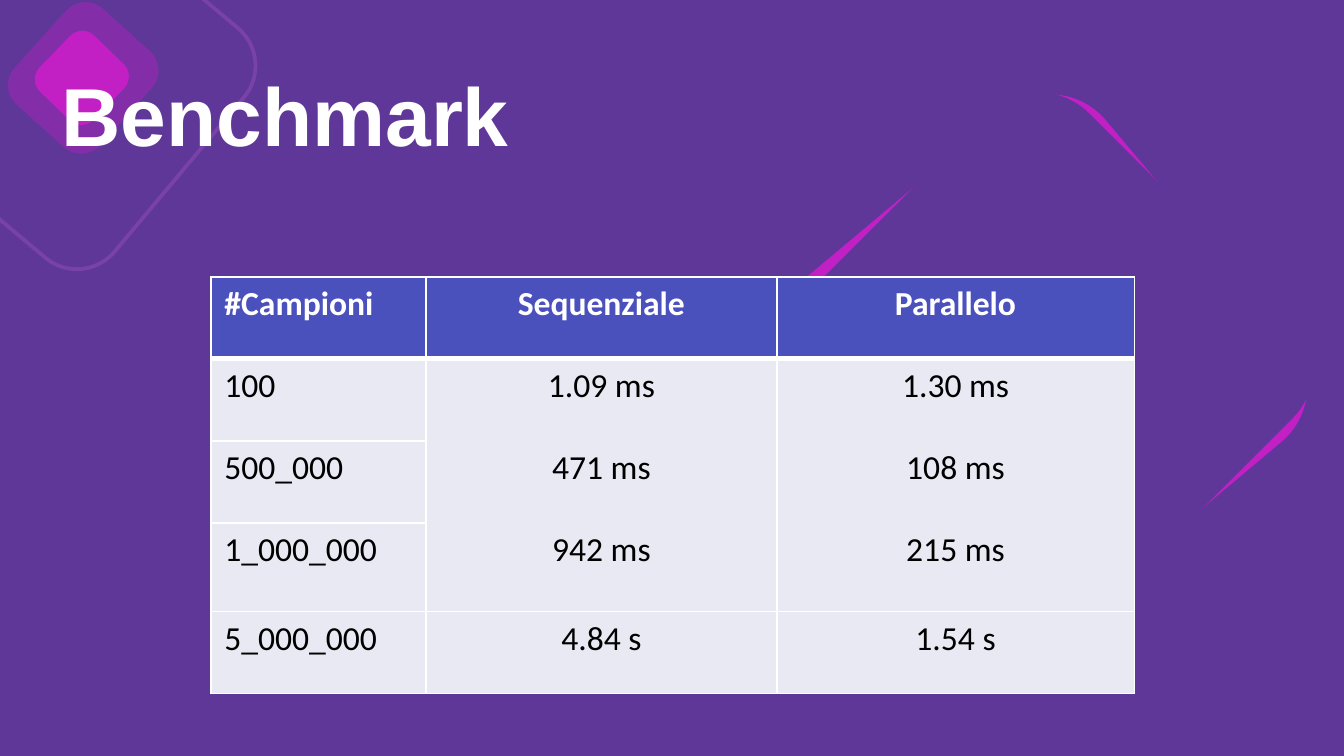
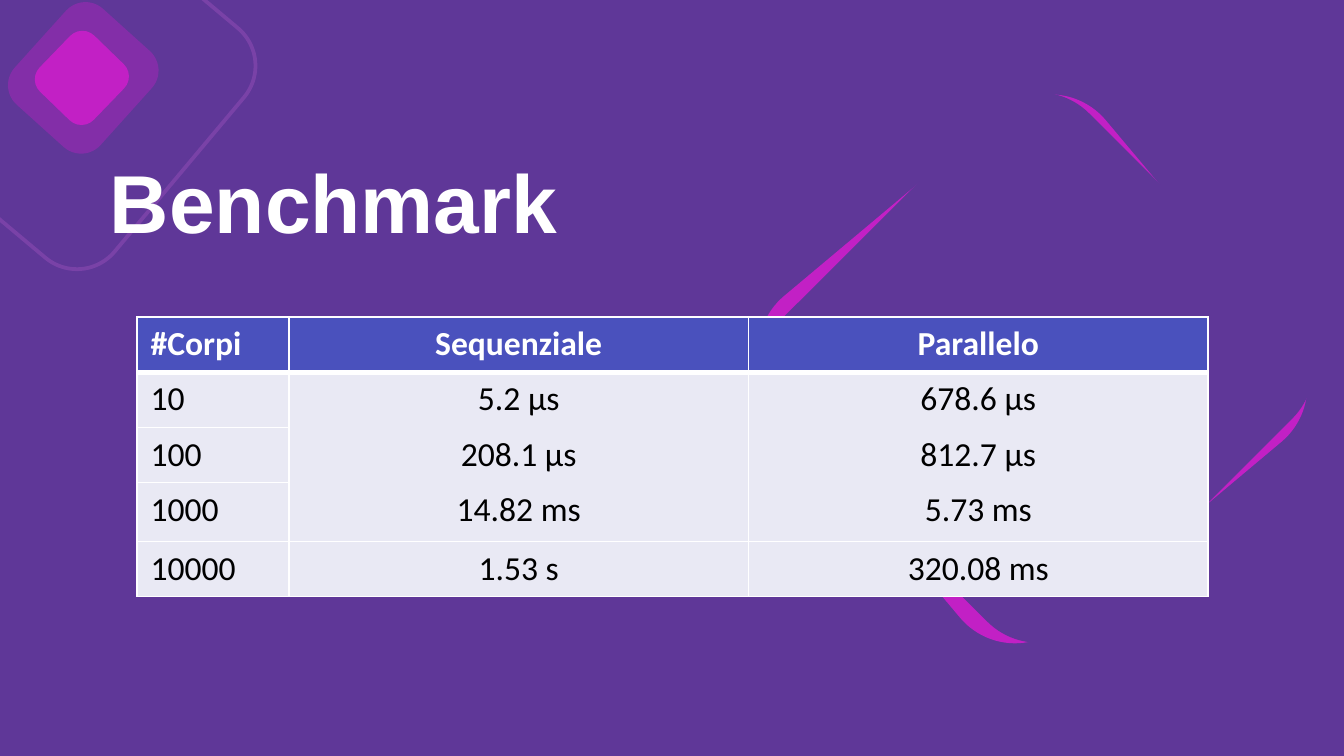
from dataclasses import dataclass

import pptx
import pptx.dml.color
import pptx.enum.shapes
import pptx.enum.text
import pptx.oxml
import pptx.oxml.ns
import pptx.slide
import pptx.table
import pptx.util
from lxml import etree

Inches = pptx.util.Inches
Pt = pptx.util.Pt
RGBColor = pptx.dml.color.RGBColor

PURPLE = RGBColor(0x5F, 0x37, 0x98)
MAGENTA = RGBColor(0xC2, 0x20, 0xC5)
PINK = RGBColor(0xE5, 0x6E, 0xE7)
BLUE = RGBColor(0x4A, 0x51, 0xBD)
LAVENDER = RGBColor(0xE9, 0xE9, 0xF4)
WHITE = RGBColor(0xFF, 0xFF, 0xFF)
BLACK = RGBColor(0x00, 0x00, 0x00)
TITLE_FONT = "Arial"
TABLE_FONT = "Calibri"
GRID_WIDTH = 1
HEADER_RULE_WIDTH = 3


@dataclass(frozen=True)
class Diamond:
    left: float
    top: float
    width: float
    height: float
    rotation: float
    fill: RGBColor | None = None
    line: RGBColor | None = None
    opacity: int = 100
    corner: float = 0.167


@dataclass(frozen=True)
class Benchmark:
    title_left: float
    title_top: float
    table_left: float
    table_top: float
    col_widths: tuple[float, ...]
    row_heights: tuple[float, ...]
    rows: tuple[tuple[str, ...], ...]


DIAMONDS = (
    Diamond(0.19, 0.1, 0.86, 0.96, 42, fill=MAGENTA, opacity=37, corner=0.227),
    Diamond(6.08, 1.14, 3.21, 3.21, 50, fill=MAGENTA),
    Diamond(6.12, 1.13, 3.21, 3.21, 45, fill=PURPLE),
    Diamond(-0.6, -0.52, 2.19, 2.23, 40, line=PINK, opacity=20),
    Diamond(0.33, 0.29, 0.56, 0.58, 44, fill=MAGENTA, corner=0.227),
)

BENCHMARKS = (
    Benchmark(
        0.36, -0.29, 1.57, 2.06,
        (1.6, 2.61, 2.66),
        (0.61, 0.61, 0.61, 0.66, 0.61),
        (
            ("#Campioni", "Sequenziale", "Parallelo"),
            ("100", "1.09 ms", "1.30 ms"),
            ("500_000", "471 ms", "108 ms"),
            ("1_000_000", "942 ms", "215 ms"),
            ("5_000_000", "4.84 s", "1.54 s"),
        ),
    ),
    Benchmark(
        0.72, 0.36, 1.02, 2.36,
        (1.13, 3.42, 3.42),
        (0.41, 0.41, 0.41, 0.44, 0.41),
        (
            ("#Corpi", "Sequenziale", "Parallelo"),
            ("10", "5.2 µs", "678.6 µs"),
            ("100", "208.1 µs", "812.7 µs"),
            ("1000", "14.82 ms", "5.73 ms"),
            ("10000", "1.53 s", "320.08 ms"),
        ),
    ),
)


def set_opacity(color_parent: etree._Element, percent: int) -> None:
    color = color_parent.find(".//" + pptx.oxml.ns.qn("a:srgbClr"))
    alpha = etree.SubElement(color, pptx.oxml.ns.qn("a:alpha"))
    alpha.set("val", str(percent * 1000))


def add_diamond(slide: pptx.slide.Slide, diamond: Diamond) -> None:
    sp = slide.shapes.add_shape(
        pptx.enum.shapes.MSO_SHAPE.ROUNDED_RECTANGLE,
        Inches(diamond.left), Inches(diamond.top),
        Inches(diamond.width), Inches(diamond.height),
    )
    sp.shadow.inherit = False
    sp.rotation = diamond.rotation
    sp.adjustments[0] = diamond.corner
    if diamond.fill is None:
        sp.fill.background()
    else:
        sp.fill.solid()
        sp.fill.fore_color.rgb = diamond.fill
    if diamond.line is None:
        sp.line.fill.background()
    else:
        sp.line.color.rgb = diamond.line
        sp.line.width = Pt(2)
    if diamond.opacity < 100:
        set_opacity(sp._element.spPr, diamond.opacity)


def add_title(slide: pptx.slide.Slide, left: float, top: float) -> None:
    sp = slide.shapes.add_textbox(Inches(left), Inches(top), Inches(4.74), Inches(1.55))
    tf = sp.text_frame
    tf.word_wrap = True
    tf.vertical_anchor = pptx.enum.text.MSO_ANCHOR.BOTTOM
    p = tf.paragraphs[0]
    p.text = "Benchmark"
    p.font.name = TITLE_FONT
    p.font.size = Pt(44)
    p.font.bold = True
    p.font.color.rgb = WHITE


def set_border(cell: pptx.table._Cell, side: str, width: float) -> None:
    """Draw one side (L, R, T or B) in white, or hide it when width is 0."""
    ln = etree.SubElement(cell._tc.get_or_add_tcPr(), pptx.oxml.ns.qn(f"a:ln{side}"))
    if not width:
        etree.SubElement(ln, pptx.oxml.ns.qn("a:noFill"))
        return
    ln.set("w", str(Pt(width)))
    fill = etree.SubElement(ln, pptx.oxml.ns.qn("a:solidFill"))
    etree.SubElement(fill, pptx.oxml.ns.qn("a:srgbClr")).set("val", str(WHITE))


def rule_width(rule: int, col: int, row_count: int) -> float:
    """Width of the horizontal rule above row number `rule`."""
    if rule == 1:
        return HEADER_RULE_WIDTH
    joins_values = col > 0 and 1 < rule < row_count - 1
    return 0 if joins_values else GRID_WIDTH


def add_benchmark_table(slide: pptx.slide.Slide, bench: Benchmark) -> None:
    row_count = len(bench.rows)
    table = slide.shapes.add_table(
        row_count, len(bench.col_widths),
        Inches(bench.table_left), Inches(bench.table_top),
        Inches(sum(bench.col_widths)), Inches(sum(bench.row_heights)),
    ).table
    table.horz_banding = False
    for column, width in zip(table.columns, bench.col_widths):
        column.width = Inches(width)
    for row, height in zip(table.rows, bench.row_heights):
        row.height = Inches(height)

    for r, texts in enumerate(bench.rows):
        is_header = r == 0
        for c, text in enumerate(texts):
            cell = table.cell(r, c)
            set_border(cell, "L", GRID_WIDTH)
            set_border(cell, "R", GRID_WIDTH)
            set_border(cell, "T", rule_width(r, c, row_count))
            set_border(cell, "B", rule_width(r + 1, c, row_count))
            cell.fill.solid()
            cell.fill.fore_color.rgb = BLUE if is_header else LAVENDER
            p = cell.text_frame.paragraphs[0]
            p.text = text
            if c > 0:
                p.alignment = pptx.enum.text.PP_ALIGN.CENTER
            p.font.name = TABLE_FONT
            p.font.size = Pt(18)
            p.font.bold = is_header
            p.font.color.rgb = WHITE if is_header else BLACK


def main() -> None:
    prs = pptx.Presentation()
    prs.slide_width = Inches(10)
    prs.slide_height = prs.slide_width * 9 // 16
    for bench in BENCHMARKS:
        slide = prs.slides.add_slide(prs.slide_layouts[6])
        slide.background.fill.solid()
        slide.background.fill.fore_color.rgb = PURPLE
        for diamond in DIAMONDS:
            add_diamond(slide, diamond)
        add_title(slide, bench.title_left, bench.title_top)
        add_benchmark_table(slide, bench)
    prs.save("out.pptx")


if __name__ == "__main__":
    main()
